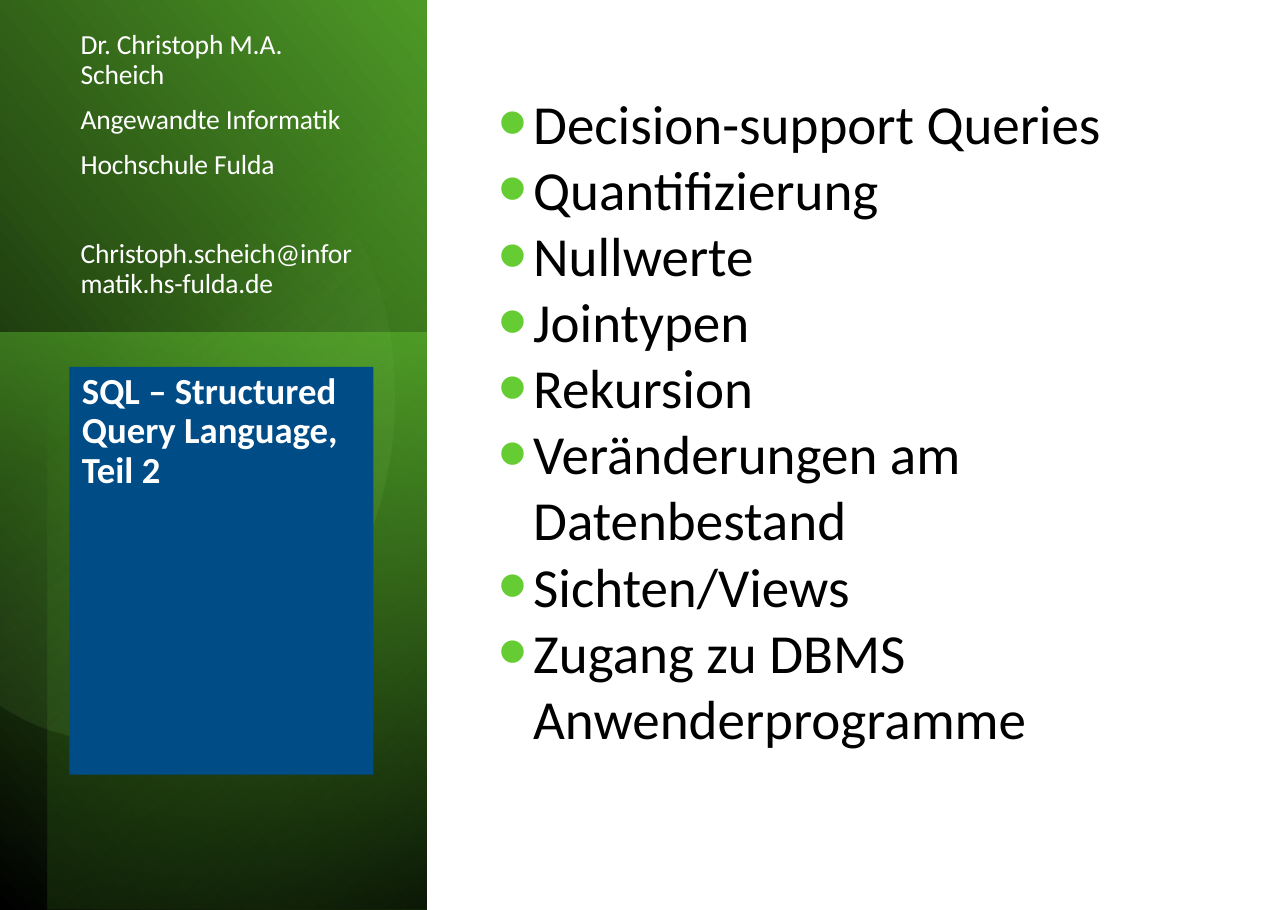
"""Build the contents slide for the SQL lecture, part 2."""
from lxml import etree
from pptx import Presentation
from pptx.dml import color
from pptx.enum import shapes, text
from pptx.oxml import ns
from pptx.util import Cm, Pt

BLACK = color.RGBColor(0x00, 0x00, 0x00)
WHITE = color.RGBColor(0xFF, 0xFF, 0xFF)
BLUE = color.RGBColor(0x00, 0x4C, 0x87)
GREEN = color.RGBColor(0x66, 0xCC, 0x33)
LEAF = color.RGBColor(0x4D, 0x99, 0x26)
FOREST = color.RGBColor(0x33, 0x66, 0x19)
MINT = color.RGBColor(0xA3, 0xE0, 0x85)


def write_text(paragraph, content, size=18, font_color=WHITE, bold=False,
               spacing=1.0, before=0, tracking=0):
    paragraph.alignment = text.PP_ALIGN.LEFT
    paragraph.line_spacing = spacing
    paragraph.space_before = Pt(before)
    paragraph.space_after = Pt(0)
    run = paragraph.add_run()
    run.text = content
    run.font.name = "Calibri"
    run.font.size = Pt(size)
    run.font.bold = bold
    run.font.color.rgb = font_color
    if tracking:
        run.font._element.set("spc", str(tracking))


def paint_gradient(shape, clockwise_angle, stops):
    shape.shadow.inherit = False
    shape.line.fill.background()
    shape.fill.gradient()
    shape.fill.gradient_angle = 360 - clockwise_angle
    for stop, (position, stop_color, opacity) in zip(shape.fill.gradient_stops, stops):
        stop.position = position
        stop.color.rgb = stop_color
    colors = shape._element.spPr.findall(".//" + ns.qn("a:srgbClr"))
    for element, (position, stop_color, opacity) in zip(colors, stops):
        if opacity < 100:
            etree.SubElement(element, ns.qn("a:alpha"), val=str(opacity * 1000))


presentation = Presentation()
presentation.slide_width = Cm(29.7)
presentation.slide_height = Cm(20.98)
slide = presentation.slides.add_slide(presentation.slide_layouts[1])
title, topics = slide.placeholders

panel = slide.shapes.add_shape(
    shapes.MSO_SHAPE.RECTANGLE, 0, 0, presentation.slide_width, presentation.slide_height)
panel.shadow.inherit = False
panel.fill.solid()
panel.fill.fore_color.rgb = WHITE
panel.line.fill.background()

sidebar_layers = [
    (0, 0, 9.84, 20.98, 320, [(0, BLACK, 100), (1, LEAF, 100)]),
    (0, 7.66, 9.83, 13.32, 100, [(0, GREEN, 50), (1, FOREST, 0)]),
    (1.1, 0, 8.74, 20.98, 230, [(0, BLACK, 59), (0.69, GREEN, 0)]),
]
for left, top, width, height, angle, stops in sidebar_layers:
    layer = slide.shapes.add_shape(
        shapes.MSO_SHAPE.RECTANGLE, Cm(left), Cm(top), Cm(width), Cm(height))
    paint_gradient(layer, angle, stops)

disc_start = (3.48, 2.46)
disc_curves = [
    [(3.86, 2.44), (4.27, 2.46), (4.67, 2.54)],
    [(7.82, 3.2), (9.73, 6.96), (8.92, 10.95)],
    [(8.1, 14.91), (4.85, 17.63), (1.7, 16.97)],
    [(1.09, 16.84), (0.56, 16.61), (0.05, 16.28)],
    [(0, 16.25)],
    [(0, 8.95)],
    [(0.2, 3.78)],
    [(0.69, 3.45)],
    [(1.52, 2.84), (2.49, 2.51), disc_start],
]
builder = slide.shapes.build_freeform(Cm(disc_start[0]), Cm(disc_start[1]))
builder.add_line_segments(
    [(Cm(x), Cm(y)) for curve in disc_curves for x, y in curve], close=True)
disc = builder.convert_to_shape()
segments = iter(disc._element.findall(".//" + ns.qn("a:lnTo")))
for curve in disc_curves:
    first, *others = [next(segments) for point in curve]
    if others:
        first.tag = ns.qn("a:cubicBezTo")
    for segment in others:
        first.append(segment[0])
        segment.getparent().remove(segment)
paint_gradient(disc, 51.6, [(0.39, MINT, 0), (1, LEAF, 26)])

title.left, title.top, title.width, title.height = Cm(1.6), Cm(8.46), Cm(7.01), Cm(9.4)
title.fill.solid()
title.fill.fore_color.rgb = BLUE
title.text_frame.margin_left = Cm(0.29)
write_text(title.text_frame.paragraphs[0], "SQL – Structured Query Language, Teil 2",
           size=24, bold=True, spacing=0.9)

contact = slide.shapes.add_textbox(Cm(1.61), Cm(2.46), Cm(7.11), Cm(4.57))
contact_lines = [
    ("Dr. Christoph M.A. Scheich", 0),
    ("Angewandte Informatik", 10),
    ("Hochschule Fulda", 10),
    ("Christoph.scheich@informatik.hs-fulda.de", 39),
]
for index, (line, before) in enumerate(contact_lines):
    frame = contact.text_frame
    paragraph = frame.add_paragraph() if index else frame.paragraphs[0]
    write_text(paragraph, line, spacing=0.9, before=before, tracking=-10)

topics.left, topics.top, topics.width, topics.height = Cm(11.25), Cm(1.93), Cm(17.35), Cm(17.2)
topic_names = [
    "Decision-support Queries",
    "Quantifizierung",
    "Nullwerte",
    "Jointypen",
    "Rekursion",
    "Veränderungen am Datenbestand",
    "Sichten/Views",
    "Zugang zu DBMS Anwenderprogramme",
]
for index, name in enumerate(topic_names):
    frame = topics.text_frame
    paragraph = frame.add_paragraph() if index else frame.paragraphs[0]
    properties = paragraph._p.get_or_add_pPr()
    properties.set("marL", str(Cm(0.79)))
    properties.set("indent", str(-Cm(0.79)))
    bullet_color = etree.SubElement(properties, ns.qn("a:buClr"))
    etree.SubElement(bullet_color, ns.qn("a:srgbClr"), val=str(GREEN))
    etree.SubElement(properties, ns.qn("a:buSzPct"), val="150000")
    etree.SubElement(properties, ns.qn("a:buFont"), typeface="Arial")
    etree.SubElement(properties, ns.qn("a:buChar"), char="•")
    write_text(paragraph, name, size=36, font_color=BLACK)

for box, anchor in (
    (title, text.MSO_ANCHOR.TOP),
    (contact, text.MSO_ANCHOR.BOTTOM),
    (topics, text.MSO_ANCHOR.TOP),
):
    box.text_frame.word_wrap = True
    box.text_frame.auto_size = text.MSO_AUTO_SIZE.NONE
    box.text_frame.vertical_anchor = anchor
    slide.shapes._spTree.append(box._element)

presentation.save("out.pptx")
